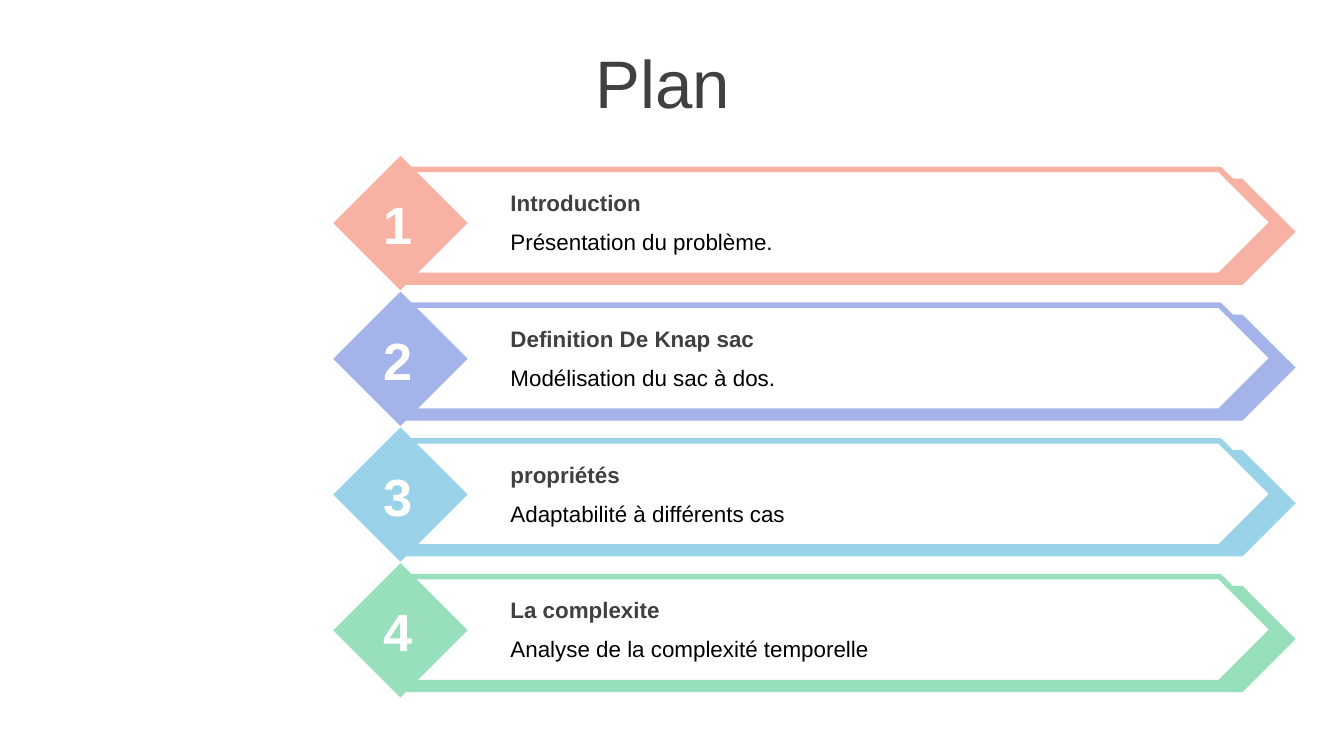
from pptx import Presentation
from pptx.dml.color import RGBColor
from pptx.enum import shapes, text
from pptx.util import Inches, Pt

FONT = "Arial"
WHITE = RGBColor(0xFF, 0xFF, 0xFF)
BLACK = RGBColor(0x00, 0x00, 0x00)
GREY = RGBColor(0x40, 0x40, 0x40)
CORAL = RGBColor(0xF8, 0xB2, 0xA3)
PERIWINKLE = RGBColor(0xA4, 0xB4, 0xEA)
SKY = RGBColor(0x9A, 0xD3, 0xE9)
MINT = RGBColor(0x98, 0xDF, 0xBB)

STEPS = [
    ("Introduction", "Présentation du problème.", CORAL),
    ("Definition De Knap sac", "Modélisation du sac à dos.", PERIWINKLE),
    ("propriétés", "Adaptabilité à différents cas", SKY),
    ("La complexite", "Analyse de la complexité temporelle", MINT),
]
STEP_LEFT, STEP_TOP, STEP_PITCH = 2.48, 1.16, 1.01


def write(sp, words, size, color, bold=False, align=text.PP_ALIGN.LEFT,
          anchor=text.MSO_ANCHOR.TOP):
    tf = sp.text_frame
    tf.word_wrap = True
    tf.vertical_anchor = anchor
    p = tf.paragraphs[0]
    p.text = words
    p.alignment = align
    p.font.name = FONT
    p.font.size = Pt(size)
    p.font.bold = bold
    p.font.color.rgb = color


def add_label(s, x, y, w, h, *args, **kwargs):
    box = s.shapes.add_textbox(Inches(x), Inches(y), Inches(w), Inches(h))
    write(box, *args, **kwargs)


def add_panel(parent, kind, x, y, w, h, fill, line=None):
    sp = parent.shapes.add_shape(kind, Inches(x), Inches(y), Inches(w), Inches(h))
    sp.shadow.inherit = False
    sp.fill.solid()
    sp.fill.fore_color.rgb = fill
    if line is None:
        sp.line.fill.background()
    else:
        sp.line.color.rgb = line
        sp.line.width = Pt(3)


def add_title(s, x, y, w, h):
    title = s.shapes.title
    title.left, title.top = Inches(x), Inches(y)
    title.width, title.height = Inches(w), Inches(h)
    # The space after the word shifts the centred title slightly left
    write(title, "Plan ", 36, GREY, align=text.PP_ALIGN.CENTER,
          anchor=text.MSO_ANCHOR.MIDDLE)


def add_step(s, x, y, number, heading, detail, color):
    # Arrow banner: coloured backing, outlined front, number diamond
    banner = s.shapes.add_group_shape()
    arrow = shapes.MSO_SHAPE.PENTAGON
    add_panel(banner, arrow, x + 0.52, y + 0.17, 6.64, 0.79, color)
    add_panel(banner, arrow, x + 0.52, y + 0.1, 6.47, 0.79, WHITE, color)
    add_panel(banner, shapes.MSO_SHAPE.DIAMOND, x, y, 1, 1, color)

    # Number, heading and detail
    add_label(s, x + 0.26, y + 0.22, 0.44, 0.57, f"{number} ", 28, WHITE,
              bold=True, align=text.PP_ALIGN.CENTER,
              anchor=text.MSO_ANCHOR.MIDDLE)
    add_label(s, x + 1.22, y + 0.2, 5.2, 0.3, heading, 12, GREY, bold=True)
    add_label(s, x + 1.22, y + 0.49, 5.2, 0.3, detail, 12, BLACK)


def main():
    prs = Presentation()
    prs.slide_width = Inches(10)
    prs.slide_height = prs.slide_width * 9 // 16
    s = prs.slides.add_slide(prs.slide_layouts[5])  # Title Only
    add_title(s, 0, 0.29, 10, 0.63)
    for i, (heading, detail, color) in enumerate(STEPS):
        add_step(s, STEP_LEFT, STEP_TOP + i * STEP_PITCH, i + 1,
                 heading, detail, color)
    prs.save("out.pptx")


if __name__ == "__main__":
    main()
